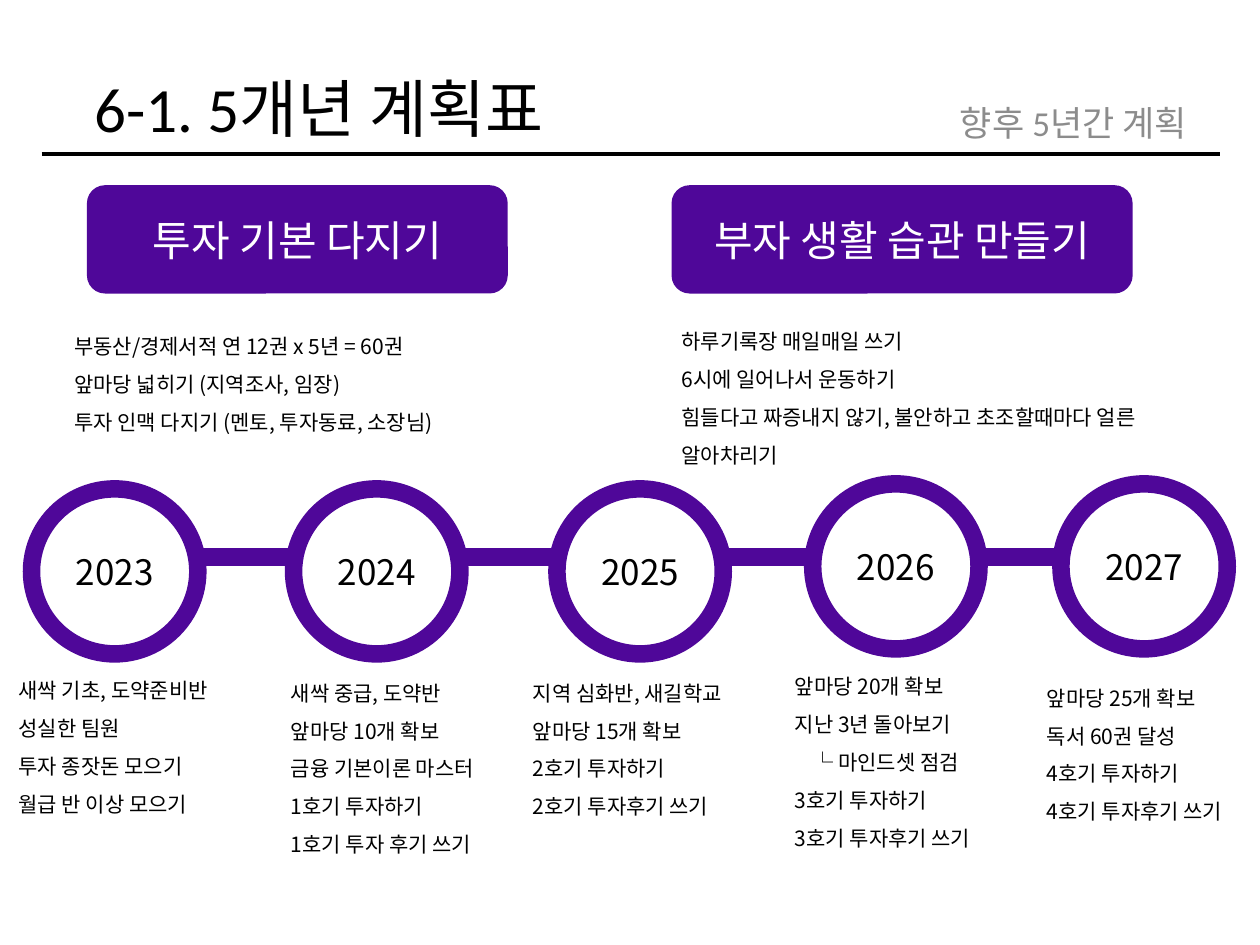
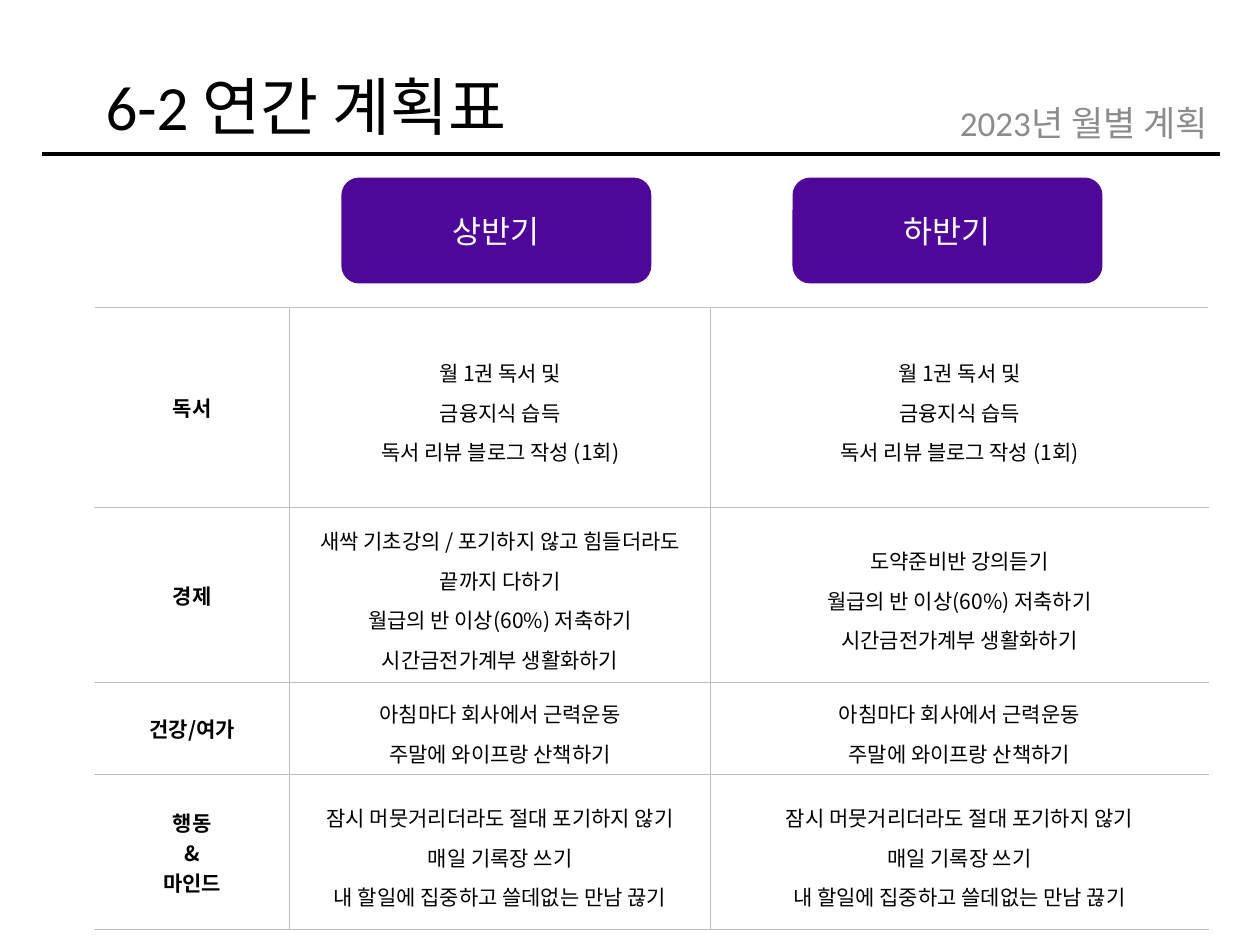
from lxml.etree import SubElement
from pptx import Presentation
from pptx.dml.color import RGBColor
from pptx.enum.shapes import MSO_CONNECTOR, MSO_SHAPE
from pptx.enum.text import MSO_ANCHOR, PP_ALIGN
from pptx.oxml.ns import qn
from pptx.util import Inches, Pt

PURPLE = RGBColor(0x4F, 0x07, 0x99)
BLACK = RGBColor(0, 0, 0)
WHITE = RGBColor(0xFF, 0xFF, 0xFF)
GRAY = RGBColor(0x8C, 0x8C, 0x8C)
RULE_GRAY = RGBColor(0xBF, 0xBF, 0xBF)

HEAD_FONT = "Calibri"
BODY_FONT = "Noto Sans CJK KR"

# Slide 1: two goals, then five years
GOALS = [
    # heading, heading left, top and width, list left, top and width, lines
    ("투자 기본 다지기", (0.69, 1.47, 3.34), (0.4, 2.5, 4.82),
     "부동산/경제서적 연 12권 x 5년 = 60권\n"
     "앞마당 넓히기 (지역조사, 임장)\n"
     "투자 인맥 다지기 (멘토, 투자동료, 소장님)"),
    ("부자 생활 습관 만들기", (5.33, 1.47, 3.66), (5.22, 2.46, 4.61),
     "하루기록장 매일매일 쓰기\n"
     "6시에 일어나서 운동하기\n"
     "힘들다고 짜증내지 않기, 불안하고 초조할때마다 얼른 알아차리기"),
]
YEARS = [
    # year, circle left and top, list left, top and width, lines
    ("2023", (0.25, 3.88), (-0.04, 5.23, 3.72),
     "새싹 기초, 도약준비반\n성실한 팀원\n투자 종잣돈 모으기\n월급 반 이상 모으기"),
    ("2024", (2.33, 3.88), (2.12, 5.25, 3.53),
     "새싹 중급, 도약반\n앞마당 10개 확보\n금융 기본이론 마스터\n"
     "1호기 투자하기\n1호기 투자 후기 쓰기"),
    ("2025", (4.42, 3.88), (4.04, 5.25, 2.28),
     "지역 심화반, 새길학교\n앞마당 15개 확보\n2호기 투자하기\n2호기 투자후기 쓰기"),
    ("2026", (6.45, 3.84), (6.12, 5.2, 3.39),
     "앞마당 20개 확보\n지난 3년 돌아보기\n└ 마인드셋 점검\n"
     "3호기 투자하기\n3호기 투자후기 쓰기"),
    ("2027", (8.42, 3.84), (8.12, 5.29, 3.48),
     "앞마당 25개 확보\n독서 60권 달성\n4호기 투자하기\n4호기 투자후기 쓰기"),
]

# Slide 2: plan by half-year
READING = "월 1권 독서 및\n금융지식 습득\n독서 리뷰 블로그 작성 (1회)"
SAVING = "월급의 반 이상(60%) 저축하기\n시간금전가계부 생활화하기"
HEALTH = "아침마다 회사에서 근력운동\n주말에 와이프랑 산책하기"
MINDSET = ("잠시 머뭇거리더라도 절대 포기하지 않기\n매일 기록장 쓰기\n"
           "내 할일에 집중하고 쓸데없는 만남 끊기")
PLAN = [
    ("독서", READING, READING),
    ("경제", "새싹 기초강의 / 포기하지 않고 힘들더라도 끝까지 다하기\n" + SAVING,
     "도약준비반 강의듣기\n" + SAVING),
    ("건강/여가", HEALTH, HEALTH),
    ("행동\n&\n마인드", MINDSET, MINDSET),
]
PLAN_WIDTHS = [1.55, 3.34, 3.95]
PLAN_HEIGHTS = [1.59, 1.39, 0.73, 1.23]


def write(frame, text, size=12, color=BLACK, font=BODY_FONT, bold=False,
          align=PP_ALIGN.CENTER, anchor=MSO_ANCHOR.MIDDLE, spacing=1.0, indent=0):
    """Fill a text frame, one paragraph a line; lines with └ sit one step deeper."""
    frame.word_wrap = True
    frame.vertical_anchor = anchor
    for number, line in enumerate(text.split("\n")):
        paragraph = frame.paragraphs[0] if number == 0 else frame.add_paragraph()
        paragraph.alignment = align
        paragraph.line_spacing = spacing
        left = indent + (0.14 if line.startswith("└") else 0)
        if left:
            properties = paragraph._p.get_or_add_pPr()
            properties.set("marL", str(Inches(left)))
            properties.set("indent", "0")
        run = paragraph.add_run()
        run.text = line
        run.font.size = Pt(size)
        run.font.bold = bold
        run.font.name = font
        run.font.color.rgb = color
        SubElement(run._r.get_or_add_rPr(), qn("a:ea"), typeface=BODY_FONT)


def set_borders(cell, **colors):
    """Draw thin cell borders; colors maps L, R, T and B to a colour."""
    properties = cell._tc.get_or_add_tcPr()
    for side in "LRTB":
        line = SubElement(properties, qn(f"a:ln{side}"), w=str(Pt(0.5)))
        fill = SubElement(line, qn("a:solidFill"))
        SubElement(fill, qn("a:srgbClr"), val=str(colors.get(side, RULE_GRAY)))


class Deck:
    def __init__(self):
        self.presentation = Presentation()
        self.presentation.slide_width = Inches(10)
        self.presentation.slide_height = Inches(7.5)
        self.slide = None

    def new_slide(self, title, title_box, subtitle):
        """Start a slide with its title, grey subtitle and black rule."""
        layout = self.presentation.slide_layouts[6]
        self.slide = self.presentation.slides.add_slide(layout)
        self.text(title, title_box, size=36, font=HEAD_FONT,
                  anchor=MSO_ANCHOR.BOTTOM, spacing=0.9)
        self.text(subtitle, (7.52, 0.63, 4.61, 0.68), size=20, font=HEAD_FONT,
                  color=GRAY, align=PP_ALIGN.LEFT)
        self.rule(0.33, 9.68, 1.22, BLACK, 2.25)

    def text(self, text, box, **style):
        shape = self.slide.shapes.add_textbox(*map(Inches, box))
        write(shape.text_frame, text, **style)

    def bullets(self, text, left, top, width):
        height = 0.1 + 0.3 * len(text.split("\n"))
        self.text(text, (left, top, width, height), align=PP_ALIGN.LEFT,
                  anchor=MSO_ANCHOR.TOP, spacing=1.5, indent=0.09)

    def rule(self, left, right, top, color, width):
        connector = self.slide.shapes.add_connector(
            MSO_CONNECTOR.STRAIGHT, *map(Inches, (left, top, right, top)))
        connector.line.color.rgb = color
        connector.line.width = Pt(width)
        SubElement(connector._element.spPr, qn("a:effectLst"))

    def shape(self, kind, box, fill, text, outline=None, **style):
        shape = self.slide.shapes.add_shape(kind, *map(Inches, box))
        shape.shadow.inherit = False
        shape.fill.solid()
        shape.fill.fore_color.rgb = fill
        if outline is None:
            shape.line.fill.background()
        else:
            shape.line.color.rgb = outline
            shape.line.width = Pt(10)
        write(shape.text_frame, text, **style)

    def banner(self, text, box, size):
        self.shape(MSO_SHAPE.ROUNDED_RECTANGLE, box, PURPLE, text,
                   size=size, color=WHITE)

    def table(self, rows, left, top, widths, heights):
        box = map(Inches, (left, top, sum(widths), sum(heights)))
        table = self.slide.shapes.add_table(len(rows), len(widths), *box).table
        table.first_row = table.horz_banding = False
        for column, width in zip(table.columns, widths):
            column.width = Inches(width)
        for row, height, texts in zip(table.rows, heights, rows):
            row.height = Inches(height)
            for number, (cell, text) in enumerate(zip(row.cells, texts)):
                is_label = number == 0
                is_last = number == len(widths) - 1
                # Outer sides stay open
                set_borders(cell, L=WHITE if is_label else RULE_GRAY,
                            R=WHITE if is_last else RULE_GRAY)
                cell.fill.background()
                cell.vertical_anchor = MSO_ANCHOR.MIDDLE
                write(cell.text_frame, text, bold=is_label,
                      spacing=1.0 if is_label else 1.3)


def add_five_year_plan(deck):
    deck.new_slide("6-1. 5개년 계획표", (-0.02, 0, 5.1, 1.21), "향후 5년간 계획")
    # Timeline
    deck.rule(0.28, 9.74, 4.42, PURPLE, 10)
    for year, circle, list_box, lines in YEARS:
        deck.shape(MSO_SHAPE.OVAL, (*circle, 1.32, 1.31), WHITE, year,
                   outline=PURPLE, size=20)
        deck.bullets(lines, *list_box)
    # Goals
    for heading, heading_box, list_box, lines in GOALS:
        deck.banner(heading, (*heading_box, 0.86), 24)
        deck.bullets(lines, *list_box)


def add_year_plan(deck):
    deck.new_slide("6-2 연간 계획표", (0, 0.51, 4.86, 0.68), "2023년 월별 계획")
    deck.table(PLAN, 0.75, 2.44, PLAN_WIDTHS, PLAN_HEIGHTS)
    for half, left in (("상반기", 2.71), ("하반기", 6.29)):
        deck.banner(half, (left, 1.41, 2.46, 0.84), 18)


def main():
    deck = Deck()
    add_five_year_plan(deck)
    add_year_plan(deck)
    deck.presentation.save("out.pptx")


if __name__ == "__main__":
    main()
